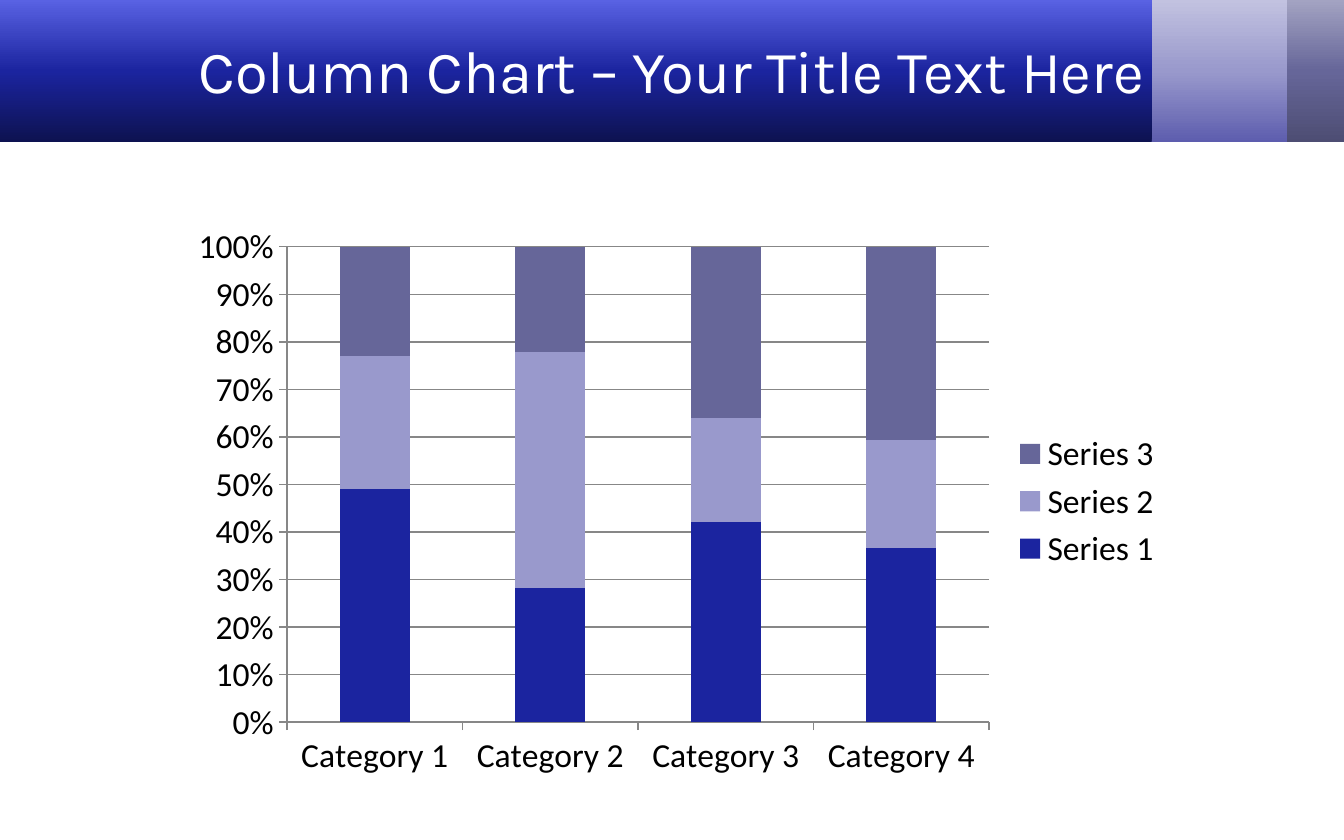
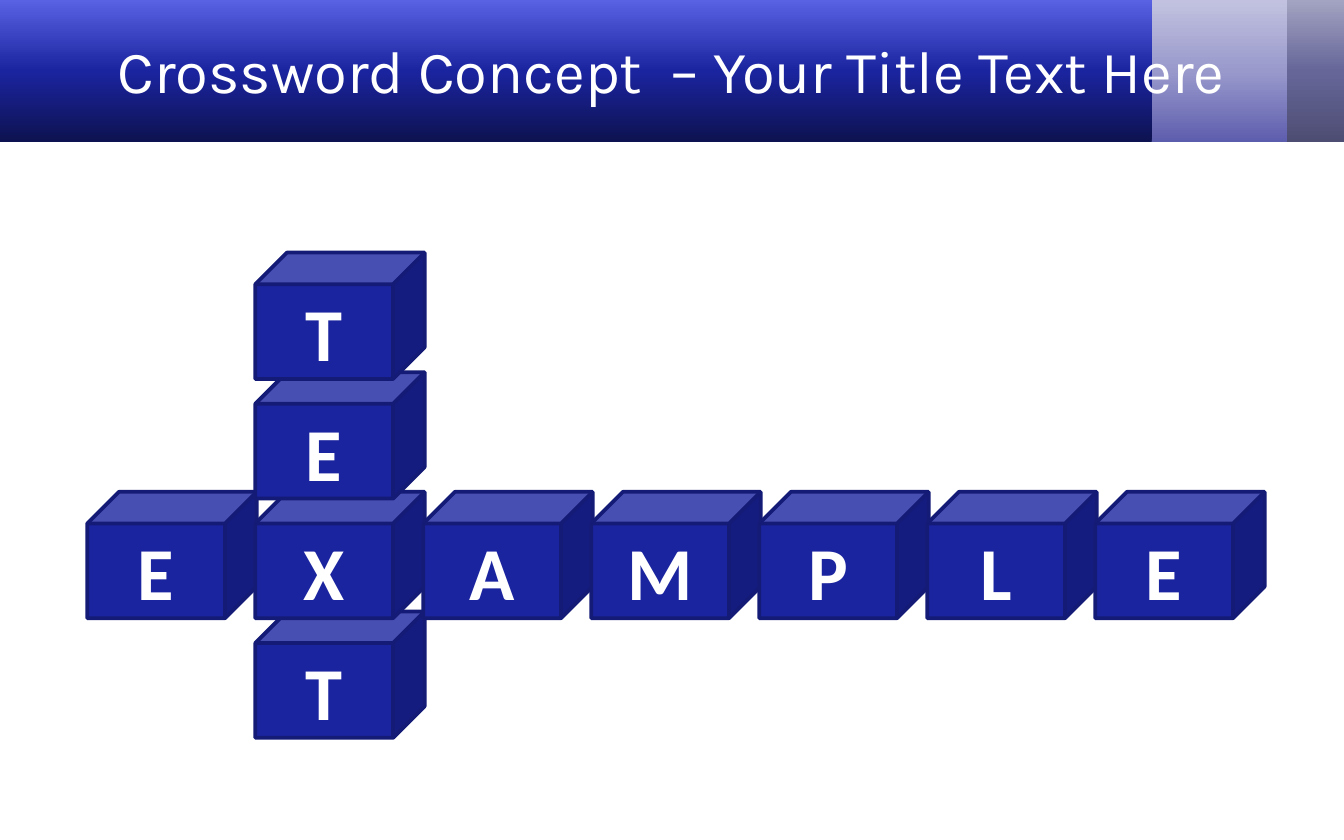
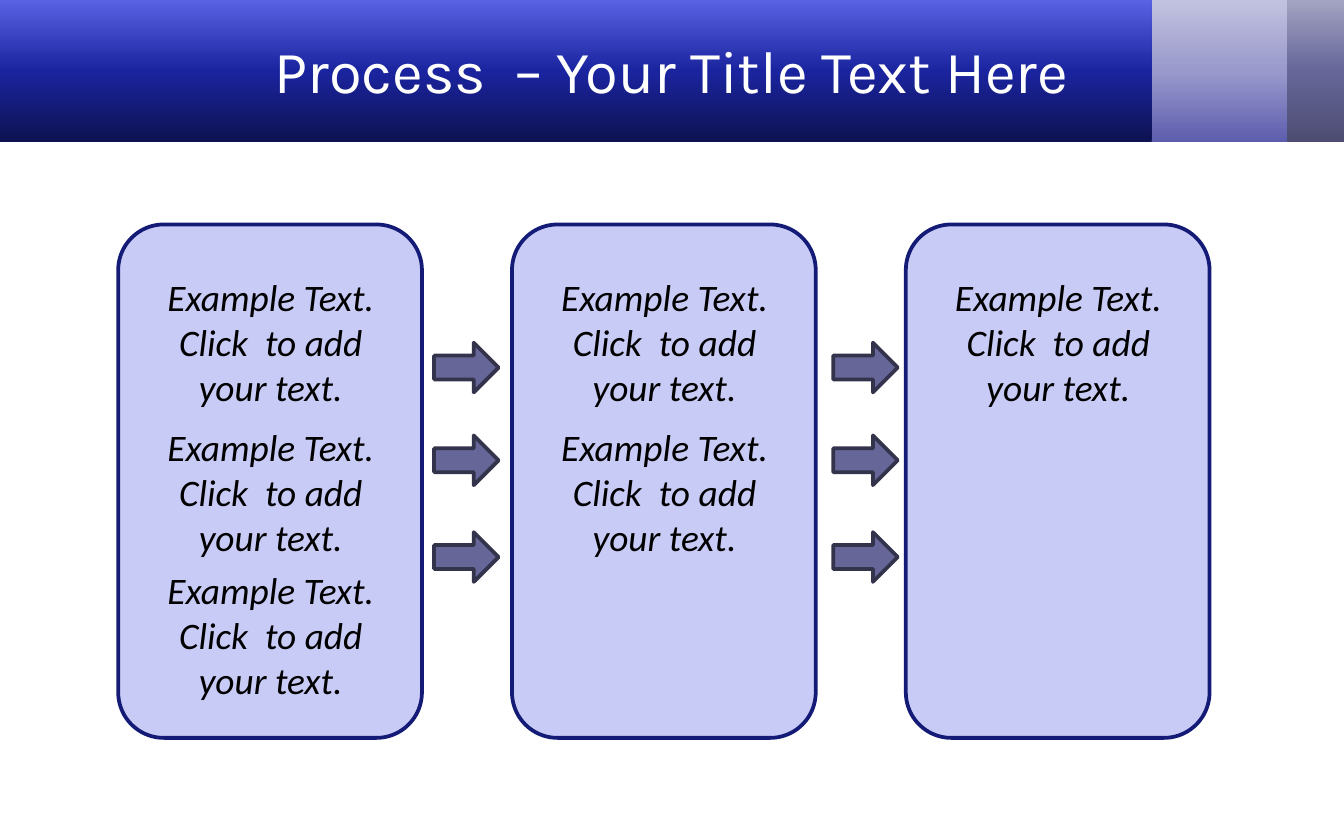
from dataclasses import dataclass

from lxml import etree
from pptx import Presentation
from pptx.chart.data import CategoryChartData as ChartData
from pptx.dml.color import RGBColor as Rgb
from pptx.enum.chart import XL_CHART_TYPE as ChartType
from pptx.enum.chart import XL_LEGEND_POSITION as LegendPosition
from pptx.enum.chart import XL_TICK_MARK as TickMark
from pptx.enum.shapes import MSO_SHAPE as Preset
from pptx.enum.text import MSO_ANCHOR as Anchor
from pptx.enum.text import MSO_AUTO_SIZE as AutoSize
from pptx.enum.text import PP_ALIGN as Align
from pptx.oxml import parse_xml
from pptx.oxml.ns import nsdecls, qn
from pptx.util import Inches, Pt


@dataclass(frozen=True)
class Box:
    left: float
    top: float
    width: float
    height: float

    def inside(self, left, top, width, height):
        return Box(self.left + left, self.top + top, width, height)

    def lengths(self):
        return [Inches(n) for n in (self.left, self.top, self.width, self.height)]


@dataclass(frozen=True)
class Theme:
    blue: str = "1B249F"
    blue_edge: str = "141B76"
    lilac: str = "9999CC"
    slate: str = "666699"
    slate_edge: str = "33334C"
    card: str = "C8CBF6"
    grid: str = "878787"
    white: str = "FFFFFF"
    black: str = "000000"
    edge_width: float = 2
    blue_fade: tuple = ("0D1250", "1B249F", "5962E3")
    lilac_fade: tuple = ("5D5DAE", "9999CC", "C2C2E0")
    slate_fade: tuple = ("4D4D73", "666699", "A3A3C2")

    def font(self, role):
        return {
            "title": {"name": "Karla", "size": Pt(32)},
            "letter": {"name": "Calibri", "size": Pt(40), "bold": True},
            "body": {"name": "Calibri", "size": Pt(20), "italic": True},
            "chart": {"name": "Calibri", "size": Pt(18)},
        }[role]


THEME = Theme()
SLIDE = Box(0, 0, 10, 6.25)
HEADER = Box(0, 0, 10, 1.06)


def set_all(target, values):
    for name, value in values.items():
        setattr(target, name, value)


def set_font(font, role, color):
    set_all(font, THEME.font(role))
    font.color.rgb = Rgb.from_string(color)


def write(shape, lines, role, color, anchor=Anchor.MIDDLE):
    frame = shape.text_frame
    set_all(frame, {"word_wrap": True, "vertical_anchor": anchor})
    frame.text = "\n".join(lines)
    for paragraph in frame.paragraphs:
        paragraph.alignment = Align.CENTER
        set_font(paragraph.font, role, color)


def add_preset(slide, preset, box, fill, edge, adjustments=()):
    shape = slide.shapes.add_shape(preset, *box.lengths())
    shape.shadow.inherit = False
    shape.fill.solid()
    shape.fill.fore_color.rgb = Rgb.from_string(fill)
    shape.line.color.rgb = Rgb.from_string(edge)
    shape.line.width = Pt(THEME.edge_width)
    for index, value in enumerate(adjustments):
        shape.adjustments[index] = value
    return shape


def fade_upward(shape, colors):
    """Three-stop gradient running from the bottom edge to the top."""
    shape.fill.gradient()
    gradient = shape.fill._xPr.find(qn("a:gradFill"))
    for child in list(gradient):
        gradient.remove(child)
    stops = etree.SubElement(gradient, qn("a:gsLst"))
    for position, color in zip((0, 50000, 100000), colors):
        stops.append(parse_xml(
            f'<a:gs {nsdecls("a")} pos="{position}"><a:srgbClr val="{color}"/></a:gs>'))
    etree.SubElement(gradient, qn("a:lin"), ang="16200000", scaled="0")


def add_header(slide, box, title):
    # Bands, right to left so that each covers the edge of the one before
    for left, width, colors in (
        (9.43, 0.58, THEME.slate_fade),
        (8.53, 1.05, THEME.lilac_fade),
        (0, 8.57, THEME.blue_fade),
    ):
        band_box = box.inside(left, 0, width, box.height)
        band = slide.shapes.add_shape(Preset.RECTANGLE, *band_box.lengths())
        band.shadow.inherit = False
        band.line.fill.background()
        fade_upward(band, colors)
    # Title
    title_box = box.inside(0.5, 0.08, 9, 0.88)
    write(slide.shapes.add_textbox(*title_box.lengths()), [title], "title", THEME.white)


def add_share_chart(slide, box):
    data = ChartData()
    data.categories = [f"Category {number}" for number in range(1, 5)]
    series_rows = (
        ("Series 1", (49, 28, 42, 37), THEME.blue),
        ("Series 2", (28, 49, 22, 23), THEME.lilac),
        ("Series 3", (23, 22, 36, 41), THEME.slate),
    )
    for name, values, _ in series_rows:
        data.add_series(name, values)
    chart = slide.shapes.add_chart(
        ChartType.COLUMN_STACKED_100, *box.lengths(), data).chart
    set_all(chart, {"has_title": False, "has_legend": True})
    set_font(chart.font, "chart", THEME.black)
    set_all(chart.legend, {"position": LegendPosition.RIGHT, "include_in_layout": False})

    # Columns
    plot = chart.plots[0]
    set_all(plot, {"gap_width": 150, "overlap": 100, "vary_by_categories": False})
    for series, (_, _, color) in zip(plot.series, series_rows):
        series.format.fill.solid()
        series.format.fill.fore_color.rgb = Rgb.from_string(color)

    # Axes and gridlines
    category_axis, value_axis = chart.category_axis, chart.value_axis
    value_axis.has_major_gridlines = True
    set_all(value_axis.tick_labels, {"number_format": "0%", "number_format_is_linked": False})
    for axis in (category_axis, value_axis):
        set_all(axis, {"major_tick_mark": TickMark.OUTSIDE, "minor_tick_mark": TickMark.NONE})
    for part in (category_axis, value_axis, value_axis.major_gridlines):
        part.format.line.color.rgb = Rgb.from_string(THEME.grid)
        part.format.line.width = Pt(0.75)


def add_crossword(slide, box, across, down, shared_row, shared_column):
    column_pitch, row_pitch = 1.25, 0.89
    # Rows from the bottom up, so that upper cubes overlap lower ones
    for row in reversed(range(len(down))):
        letters = (enumerate(across) if row == shared_row
                   else [(shared_column, down[row])])
        for column, letter in letters:
            cube_box = box.inside(column * column_pitch, row * row_pitch, 1.26, 0.94)
            cube = add_preset(slide, Preset.CUBE, cube_box, THEME.blue, THEME.blue_edge)
            write(cube, [letter], "letter", THEME.white)


def add_card(slide, box, text_count):
    add_preset(slide, Preset.ROUNDED_RECTANGLE, box, THEME.card, THEME.blue_edge, [0.15])
    for top in (0.32, 1.44, 2.5)[:text_count]:
        text_box = slide.shapes.add_textbox(*box.inside(0.13, top, 2.01, 1.11).lengths())
        write(text_box, ["Example Text.", "Click  to add your text."],
              "body", THEME.black, Anchor.TOP)
        text_box.text_frame.auto_size = AutoSize.SHAPE_TO_FIT_TEXT


def add_process(slide, box):
    card_pitch, arrow_pitch = 2.93, 2.97
    # Cards
    for index, text_count in enumerate((3, 2, 1)):
        add_card(slide, box.inside(index * card_pitch, 0, 2.26, box.height), text_count)
    # Arrows in the gaps between cards
    for gap in range(2):
        for top in (0.88, 1.57, 2.29):
            arrow_box = box.inside(2.35 + gap * arrow_pitch, top, 0.48, 0.37)
            add_preset(slide, Preset.RIGHT_ARROW, arrow_box,
                       THEME.slate, THEME.slate_edge, [0.48, 0.5])


def add_titled_slide(presentation, title):
    slide = presentation.slides.add_slide(presentation.slide_layouts[6])
    slide.background.fill.solid()
    slide.background.fill.fore_color.rgb = Rgb.from_string(THEME.white)
    add_header(slide, HEADER, title)
    return slide


def main():
    presentation = Presentation()
    presentation.slide_width = Inches(SLIDE.width)
    presentation.slide_height = Inches(SLIDE.height)

    slide = add_titled_slide(presentation, "Column Chart – Your Title Text Here")
    add_share_chart(slide, Box(1.33, 1.6, 7.42, 4.26))

    slide = add_titled_slide(presentation, "Crossword Concept  – Your Title Text Here")
    add_crossword(slide, Box(0.65, 1.88, 8.76, 3.61), "EXAMPLE", "TEXT",
                  shared_row=2, shared_column=1)

    slide = add_titled_slide(presentation, "Process  – Your Title Text Here")
    add_process(slide, Box(0.88, 1.67, 8.12, 3.82))

    presentation.save("out.pptx")


if __name__ == "__main__":
    main()
